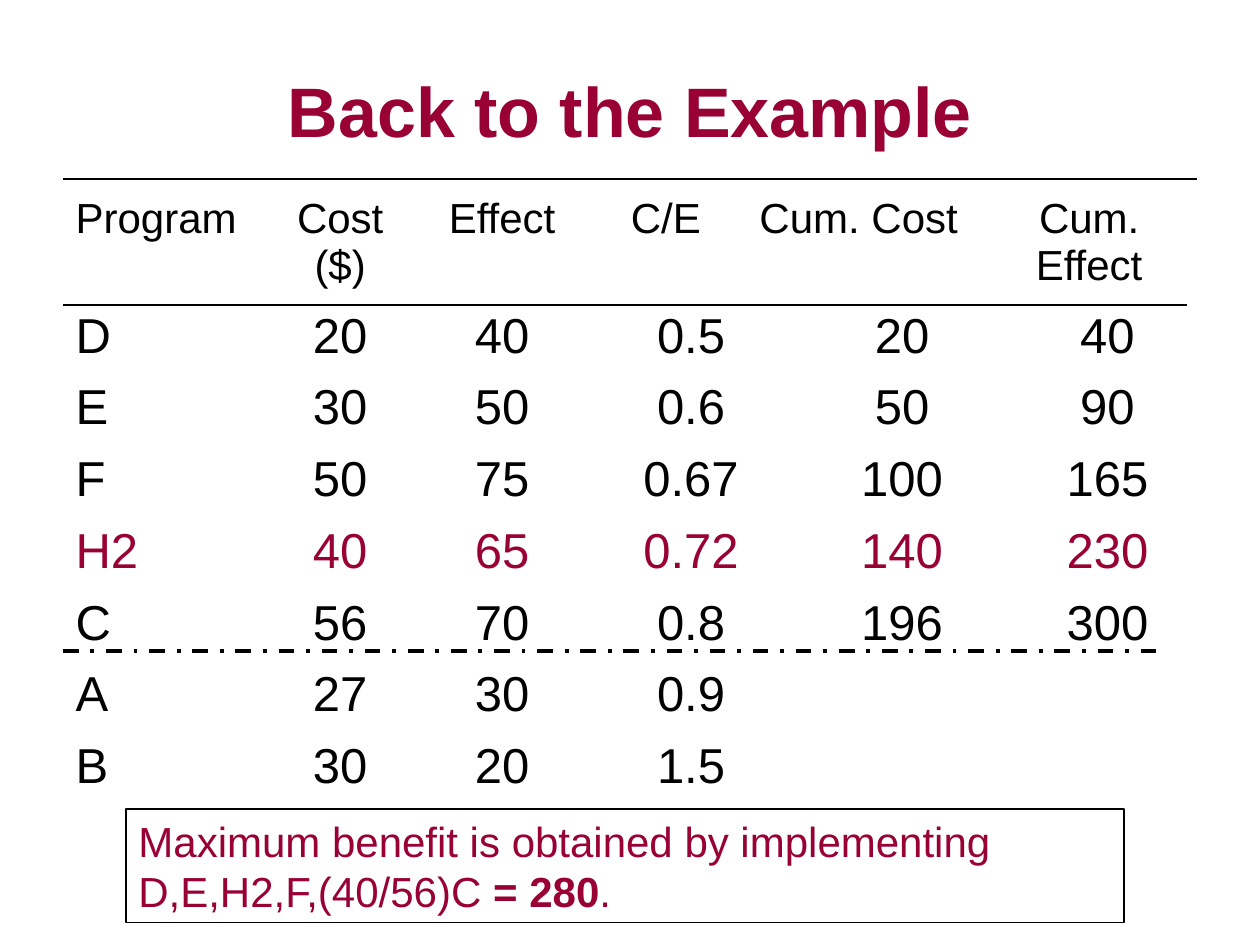
from lxml import etree
from pptx import Presentation
from pptx.dml.color import RGBColor
from pptx.enum.dml import MSO_LINE
from pptx.enum.shapes import MSO_CONNECTOR, MSO_SHAPE
from pptx.enum.text import MSO_ANCHOR, PP_ALIGN
from pptx.oxml.ns import qn
from pptx.util import Inches, Pt

LEFT, MID = PP_ALIGN.LEFT, PP_ALIGN.CENTER
CENTER = MSO_ANCHOR.MIDDLE
DASH, SOLID = MSO_LINE.DASH_DOT, MSO_LINE.SOLID
RECT, LINE = MSO_SHAPE.RECTANGLE, MSO_CONNECTOR.STRAIGHT
RED, BLACK = "990033", "000000"


def ink(code):
    return RGBColor.from_string(code)


def write(frame, text, size=28, color=BLACK, bold=False, align=LEFT, before=0):
    """Add one run to the first paragraph of a text frame."""
    para = frame.paragraphs[0]
    para.alignment = align
    para.space_before = Pt(before)
    run = para.add_run()
    run.text = text
    font = run.font
    font.name, font.size, font.bold = "Arial", Pt(size), bold
    font.color.rgb = ink(color)


deck = Presentation()
deck.slide_width, deck.slide_height = Inches(10), Inches(7.5)
slide = deck.slides.add_slide(deck.slide_layouts[6])
shapes = slide.shapes

# Title
title = shapes.add_textbox(Inches(0.75), Inches(0.33), Inches(8.5), Inches(1.08))
title.text_frame.word_wrap = True
title.text_frame.vertical_anchor = CENTER
write(title.text_frame, "Back to the Example", size=40, color=RED, bold=True, align=MID)

# Table: the header and the body join different columns
WIDTHS = [1.58, 1.24, 1.33, 1.27, 0.4, 1.39, 0.29, 1.58]
HEAD, ROW = 0.9, 0.57
HEAD_COLS = [0, 1, 2, 3, 4, 6]
BODY_COLS = [0, 1, 2, 3, 5, 7]
ROWS = [
    ["Program", "Cost ($)", "Effect", "C/E", "Cum. Cost", "Cum. Effect"],
    ["D", "20", "40", "0.5", "20", "40"],
    ["E", "30", "50", "0.6", "50", "90"],
    ["F", "50", "75", "0.67", "100", "165"],
    ["H2", "40", "65", "0.72", "140", "230"],
    ["C", "56", "70", "0.8", "196", "300"],
    ["A", "27", "30", "0.9"],
    ["B", "30", "20", "1.5"],
]
high = HEAD + ROW * (len(ROWS) - 1)
table = shapes.add_table(len(ROWS), len(WIDTHS), Inches(0.5), Inches(1.5),
                         Inches(sum(WIDTHS)), Inches(high)).table
table.first_row = table.horz_banding = False
for col, wide in zip(table.columns, WIDTHS):
    col.width = Inches(wide)
for r, texts in enumerate(ROWS):
    table.rows[r].height = Inches(ROW if r else HEAD)
    for c in range(len(WIDTHS)):
        table.cell(r, c).fill.background()
    starts = BODY_COLS if r else HEAD_COLS
    for c in ([3, 5] if r else [4, 6]):
        table.cell(r, c).merge(table.cell(r, c + 1))
    for c, text in zip(starts, texts):
        write(table.cell(r, c).text_frame, text, size=28 if r else 24,
              color=RED if texts[0] == "H2" else BLACK,
              align=MID if c else LEFT, before=7 if r else 6)

# Result box
box = shapes.add_shape(RECT, Inches(1), Inches(6.42), Inches(7.92), Inches(0.9))
box.shadow.inherit = False
box.fill.background()
box.line.color.rgb = ink(BLACK)
box.line.width = Pt(0.75)
box.text_frame.word_wrap = True
box.text_frame.vertical_anchor = MSO_ANCHOR.TOP
for text, bold in [
    ("Maximum benefit is obtained by implementing D,E,H2,F,(40/56)C ", False),
    ("= 280", True),
    (".", False),
]:
    write(box.text_frame, text, size=24, color=RED, bold=bold)

# Rules above and below the header, and the budget cut-off
for y, end, thick, dash in [
    (2.42, 9.42, 1, SOLID),
    (1.42, 9.5, 1, SOLID),
    (5.17, 9.25, 2.25, DASH),
]:
    rule = shapes.add_connector(LINE, Inches(0.5), Inches(y), Inches(end), Inches(y))
    rule.line.color.rgb = ink(BLACK)
    rule.line.width = Pt(thick)
    rule.line.dash_style = dash
    etree.SubElement(rule._element.spPr, qn("a:effectLst"))

deck.save("out.pptx")
